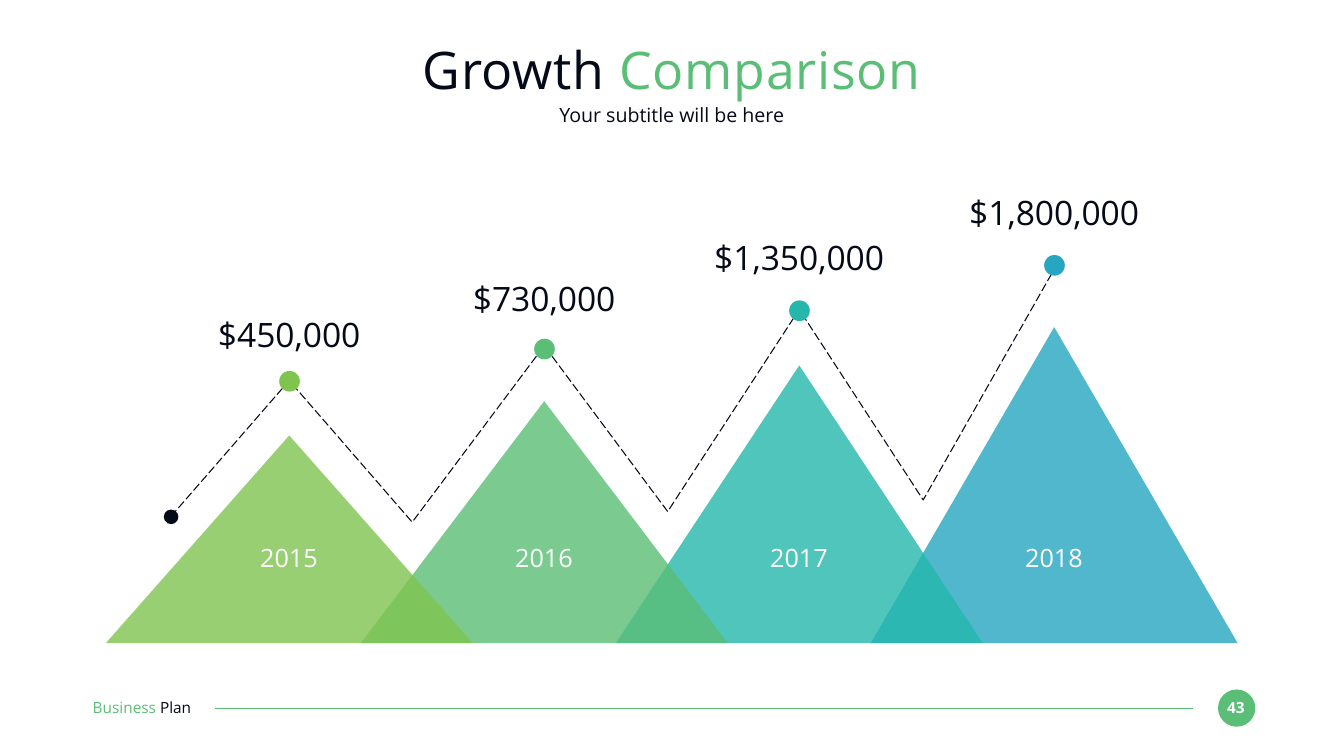
"""Build the Growth Comparison slide: four yearly peaks with a dashed trend line."""
from dataclasses import dataclass

from pptx import Presentation
from pptx import util as u
from pptx.dml.color import RGBColor
from pptx.enum import dml, shapes, text
from pptx.oxml import xmlchemy
from pptx.oxml.ns import qn

PX = 9144
FIRST_CENTER, CENTER_STEP = 574, 506
BASELINE, PEAK_WIDTH = 1276, 728
TREND_START = (339, 1025)


@dataclass(frozen=True)
class Theme:
    font: str = "Open Sans"
    ink: str = "050A19"
    white: str = "FFFFFF"
    lime: str = "7FC44F"
    green: str = "5ABE76"
    teal: str = "25B7AC"
    blue: str = "26A6C1"
    title: int = 74
    amount: int = 48
    year: int = 36
    subtitle: int = 28
    footer: int = 22
    line: float = 1.5


@dataclass(frozen=True)
class Peak:
    year: str
    amount: str
    color: str
    apex: int
    trend: int
    dot: int
    amount_top: int


THEME = Theme()
PEAKS = [
    Peak("2015", "$450,000", THEME.lime, 864, 755, 756, 623),
    Peak("2016", "$730,000", THEME.green, 796, 686, 692, 551),
    Peak("2017", "$1,350,000", THEME.teal, 725, 614, 616, 470),
    Peak("2018", "$1,800,000", THEME.blue, 649, 534, 526, 381),
]
VALLEYS = [(818, 1036), (1325, 1015), (1832, 992)]


def px(*lengths: int) -> list[u.Emu]:
    """Turn px lengths into EMU."""
    return [u.Emu(length * PX) for length in lengths]


def write(frame, *parts: tuple[str, str], size: int, bold: bool = False,
          align=text.PP_ALIGN.CENTER, spacing: int = 0) -> None:
    """Fill a text frame with one paragraph of coloured parts."""
    frame.margin_left = frame.margin_right = frame.margin_top = frame.margin_bottom = 0
    frame.word_wrap = True
    frame.auto_size = text.MSO_AUTO_SIZE.NONE
    frame.vertical_anchor = text.MSO_ANCHOR.MIDDLE
    paragraph = frame.paragraphs[0]
    paragraph.alignment = align
    for words, color in parts:
        run = paragraph.add_run()
        run.text = words
        run.font.name = THEME.font
        run.font.size = u.Pt(size)
        run.font.bold = bold
        run.font.color.rgb = RGBColor.from_string(color)
        if spacing:
            run.font._element.set("spc", str(spacing * 100))


def add_label(slide, box: tuple[int, int, int, int], *parts: tuple[str, str], **style) -> None:
    """Add a text box at a px box."""
    write(slide.shapes.add_textbox(*px(*box)).text_frame, *parts, **style)


def add_solid(slide, preset, box: tuple[int, int, int, int], color: str, opacity: int = 100) -> None:
    """Add a preset shape with a plain fill and no outline."""
    shape = slide.shapes.add_shape(preset, *px(*box))
    shape.shadow.inherit = False
    shape.line.fill.background()
    shape.fill.solid()
    shape.fill.fore_color.rgb = RGBColor.from_string(color)
    if opacity < 100:
        tint = shape._element.spPr.find(f"{qn('a:solidFill')}/{qn('a:srgbClr')}")
        alpha = xmlchemy.OxmlElement("a:alpha")
        alpha.set("val", str(opacity * 1000))
        tint.append(alpha)


def add_dot(slide, center: tuple[int, int], diameter: int, color: str) -> None:
    """Add a filled circle around a center."""
    x, y = center
    box = (x - diameter // 2, y - diameter // 2, diameter, diameter)
    add_solid(slide, shapes.MSO_SHAPE.OVAL, box, color)


def add_trend(slide, points: list[tuple[int, int]]) -> None:
    """Draw the dashed open line through the points."""
    builder = slide.shapes.build_freeform(*points[0], scale=PX)
    builder.add_line_segments(points[1:], close=False)
    trend = builder.convert_to_shape()
    trend.shadow.inherit = False
    trend.fill.background()
    trend.line.color.rgb = RGBColor.from_string(THEME.ink)
    trend.line.width = u.Pt(THEME.line)
    trend.line.dash_style = dml.MSO_LINE.LONG_DASH


def add_heading(slide) -> None:
    """Place the title and the subtitle."""
    title = slide.shapes.title
    title.left, title.top, title.width, title.height = px(183, 73, 2300, 127)
    write(title.text_frame, ("Growth ", THEME.ink), ("Comparison", THEME.green),
          size=THEME.title, spacing=1)
    add_label(slide, (183, 203, 2300, 49), ("Your subtitle will be here", THEME.ink),
              size=THEME.subtitle)


def add_footer(slide) -> None:
    """Draw the footer name, rule and page number."""
    add_dot(slide, (2454, 1405), 74, THEME.green)
    add_label(slide, (2423, 1385, 59, 37), ("43", THEME.white), size=THEME.footer, bold=True)
    rule = slide.shapes.add_connector(shapes.MSO_CONNECTOR.STRAIGHT, *px(2367, 1405, 427, 1405))
    rule.line.color.rgb = RGBColor.from_string(THEME.green)
    rule.line.width = u.Pt(THEME.line)
    rule._element.spPr.append(xmlchemy.OxmlElement("a:effectLst"))
    add_label(slide, (184, 1384, 259, 37), ("Business ", THEME.green), ("Plan", THEME.ink),
              size=THEME.footer, align=text.PP_ALIGN.LEFT)


def add_peaks(slide) -> None:
    """Draw the overlapping peaks, the trend line and their labels."""
    centers = [FIRST_CENTER + CENTER_STEP * i for i in range(len(PEAKS))]
    placed = list(zip(centers, PEAKS))
    for center, peak in reversed(placed):
        box = (center - PEAK_WIDTH // 2, peak.apex, PEAK_WIDTH, BASELINE - peak.apex)
        add_solid(slide, shapes.MSO_SHAPE.ISOSCELES_TRIANGLE, box, peak.color, opacity=80)
    tops = [(center, peak.trend) for center, peak in placed]
    add_trend(slide, sorted([TREND_START, *tops, *VALLEYS]))
    add_dot(slide, TREND_START, 29, THEME.ink)
    for center, peak in placed:
        add_label(slide, (center - 121, 1076, 241, 61), (peak.year, THEME.white), size=THEME.year)
        add_label(slide, (center - 184, peak.amount_top, 368, 81), (peak.amount, THEME.ink),
                  size=THEME.amount)
        add_dot(slide, (center, peak.dot), 41, peak.color)


def main() -> None:
    """Build and save the slide."""
    deck = Presentation()
    deck.slide_width, deck.slide_height = px(2667, 1500)
    slide = deck.slides.add_slide(deck.slide_layouts[5])
    add_footer(slide)
    add_heading(slide)
    add_peaks(slide)
    deck.save("out.pptx")


if __name__ == "__main__":
    main()
